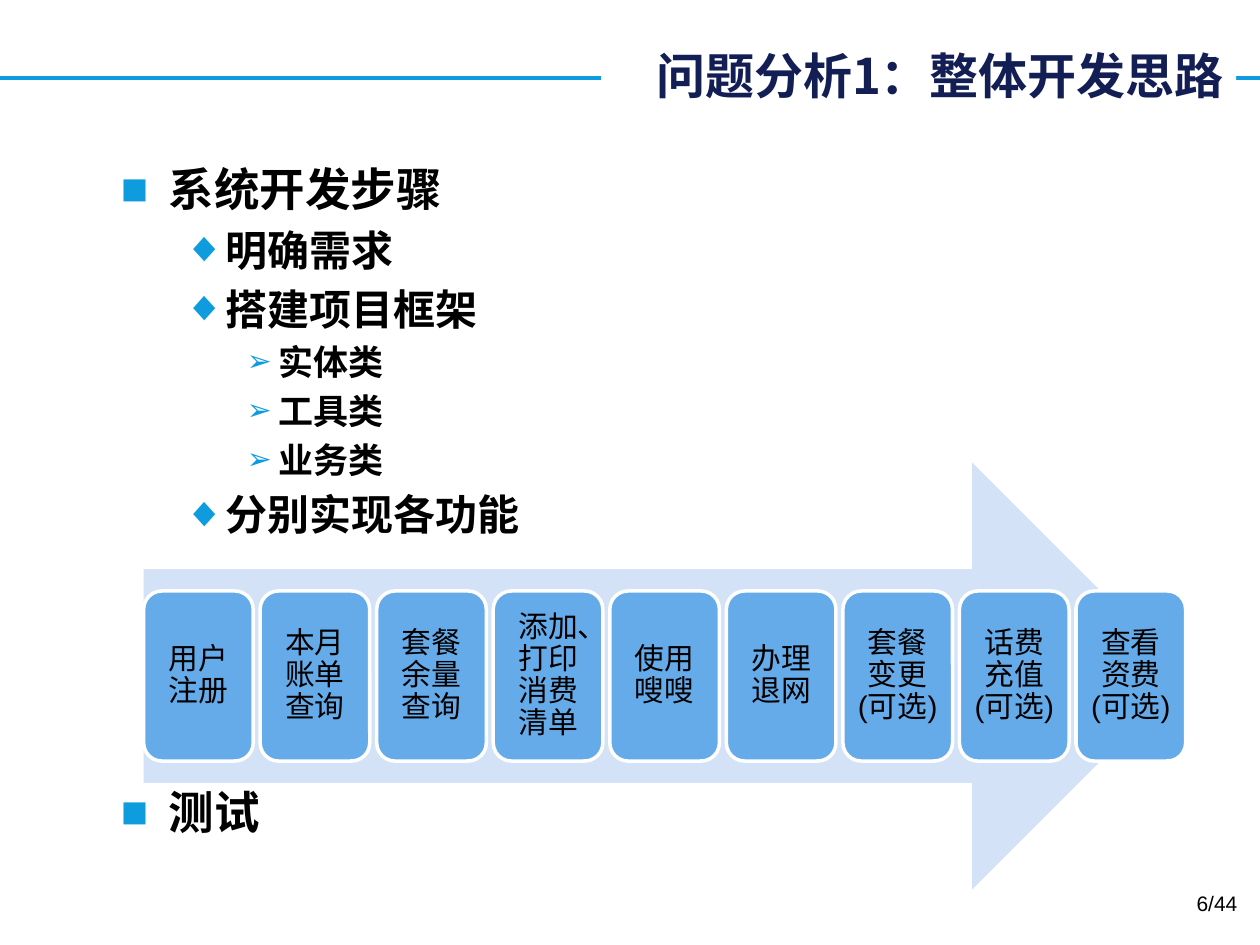
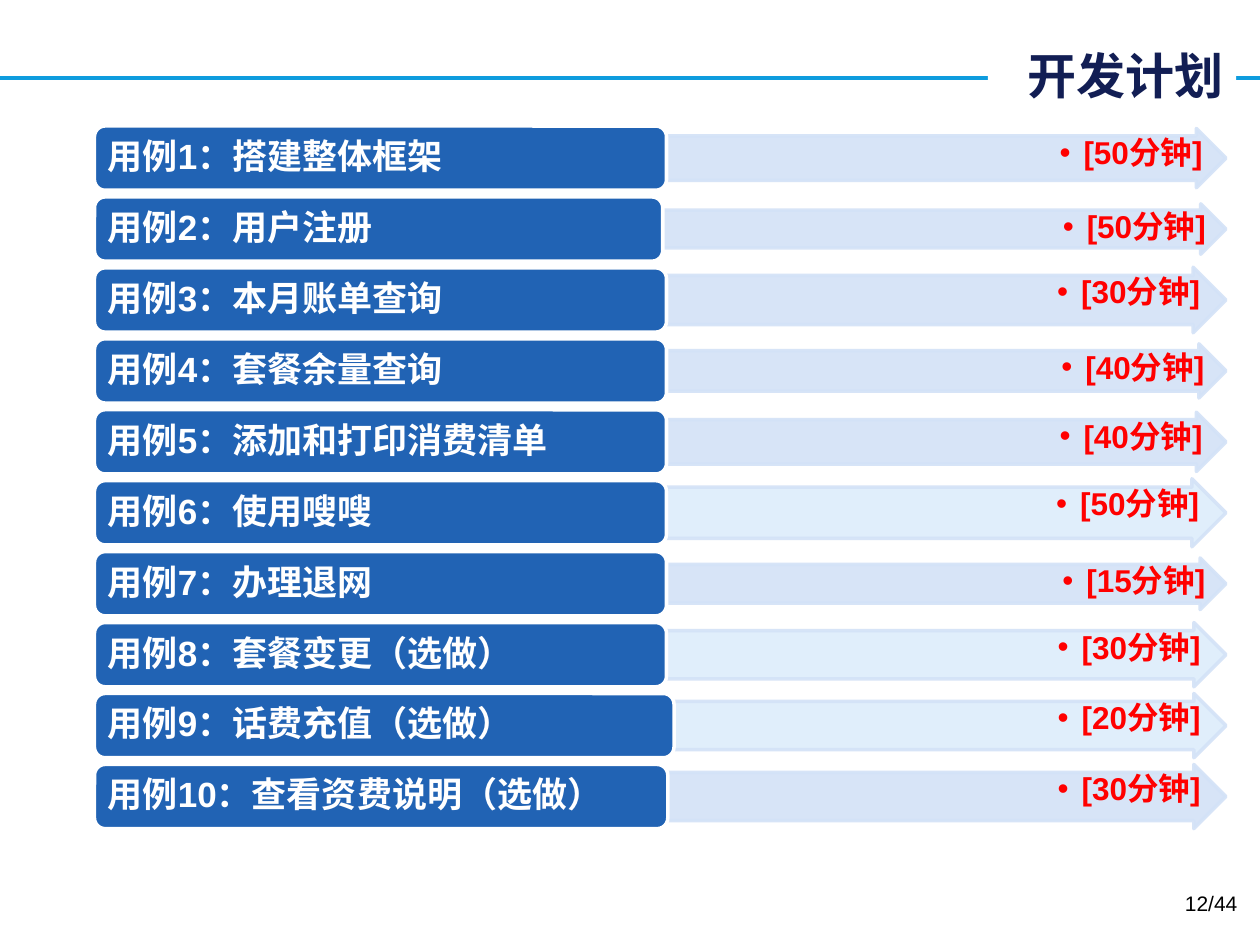
from dataclasses import dataclass

from lxml import etree
from pptx import Presentation
from pptx import util as u
from pptx.dml.color import RGBColor
from pptx.enum import lang, shapes, text
from pptx.oxml.ns import qn

OUTLINE = [
    (0, "系统开发步骤"),
    (1, "明确需求"),
    (1, "搭建项目框架"),
    (2, "实体类"),
    (2, "工具类"),
    (2, "业务类"),
    (1, "分别实现各功能"),
    (0, "测试"),
]
FEATURES = [
    "用户注册", "本月账单查询", "套餐余量查询", "添加、打印消费清单", "使用嗖嗖",
    "办理退网", "套餐变更(可选)", "话费充值(可选)", "查看资费(可选)",
]
# name, minutes, bar width, arrow height, arrow fill
CASES = [
    ("搭建整体框架", 50, 4.54, 0.47, "pale"),
    ("用户注册", 50, 4.51, 0.40, "pale"),
    ("本月账单查询", 30, 4.54, 0.52, "pale"),
    ("套餐余量查询", 40, 4.54, 0.43, "pale"),
    ("添加和打印消费清单", 40, 4.54, 0.47, "pale"),
    ("使用嗖嗖", 50, 4.54, 0.54, "paler"),
    ("办理退网", 15, 4.54, 0.41, "pale"),
    ("套餐变更（选做）", 30, 4.54, 0.51, "paler"),
    ("话费充值（选做）", 20, 4.60, 0.51, "paler"),
    ("查看资费说明（选做）", 30, 4.55, 0.51, "pale"),
]
PAGE_TOTAL = 44
WIDTH, HEIGHT = 10, 7.5
TITLE_RIGHT = 9.81
RULE_Y = 0.62
TEST_GAP = 140  # points left free above the last outline item for the arrow


@dataclass(frozen=True)
class Theme:
    font: str = "Arial"
    title_font: str = "Noto Sans CJK SC"
    accent: str = "0E9CDE"
    title: str = "121E54"
    ink: str = "000000"
    white: str = "FFFFFF"
    pale: str = "D3E2F7"
    paler: str = "E0EEFB"
    step: str = "65AAE9"
    bar: str = "2163B4"
    time: str = "FF0000"
    title_size: int = 28
    step_size: int = 17
    bar_size: int = 20
    time_size: int = 18
    page_size: int = 12


THEME = Theme()
# size, bullet, bullet size in percent, left margin, hanging indent
LEVELS = [
    (26, "■", 100, 0.38, 0.38),
    (24, "◆", 100, 0.81, 0.31),
    (20, "➢", 85, 1.25, 0.25),
]


def rgb(value):
    return RGBColor.from_string(value)


def box_at(*lengths):
    return [u.Inches(length) for length in lengths]


def place(shape, *lengths):
    for name, length in zip(("left", "top", "width", "height"), box_at(*lengths)):
        setattr(shape, name, length)


def set_frame(frame, inset=None, anchor=text.MSO_ANCHOR.TOP):
    values = {"word_wrap": True, "auto_size": text.MSO_AUTO_SIZE.NONE,
              "vertical_anchor": anchor}
    if inset:
        sides = ("margin_left", "margin_top", "margin_right", "margin_bottom")
        values.update(zip(sides, box_at(*inset)))
    for name, value in values.items():
        setattr(frame, name, value)


def write(para, words, size, color, bold=False, face=THEME.font, **layout):
    """Fill a paragraph with one formatted run; layout holds paragraph attributes."""
    for name, value in layout.items():
        setattr(para, name, value)
    span = para.add_run()
    span.text = words
    values = {"name": face, "size": u.Pt(size), "bold": bold,
              "language_id": lang.MSO_LANGUAGE_ID.SIMPLIFIED_CHINESE}
    for name, value in values.items():
        setattr(span.font, name, value)
    span.font.color.rgb = rgb(color)
    latin = span.font._element.find(qn("a:latin"))
    east_asian = etree.Element(qn("a:ea"), typeface=face)
    latin.addnext(east_asian)


def set_bullet(para, mark, margin, hang, color, percent=100):
    props = para._p.get_or_add_pPr()
    props.set("marL", str(u.Inches(margin)))
    props.set("indent", str(-u.Inches(hang)))
    bullet_color = etree.SubElement(props, qn("a:buClr"))
    etree.SubElement(bullet_color, qn("a:srgbClr"), val=color)
    etree.SubElement(props, qn("a:buSzPct"), val=str(percent * 1000))
    etree.SubElement(props, qn("a:buFont"), typeface=THEME.font)
    etree.SubElement(props, qn("a:buChar"), char=mark)


def set_alpha(fill_parent, percent):
    color = fill_parent.find(qn("a:solidFill")).find(qn("a:srgbClr"))
    etree.SubElement(color, qn("a:alpha"), val=str(percent * 1000))


def add_block(page, kind, place_in, fill, line=None):
    shape = page.shapes.add_shape(kind, *box_at(*place_in))
    shape.shadow.inherit = False
    shape.fill.solid()
    shape.fill.fore_color.rgb = rgb(fill)
    if line:
        shape.line.color.rgb = rgb(line)
        shape.line.width = u.Pt(2)
    else:
        shape.line.fill.background()
    return shape


def add_page(deck, layout, title, title_width, number):
    page = deck.slides.add_slide(deck.slide_layouts[layout])
    heading = page.shapes.title
    place(heading, TITLE_RIGHT - title_width, 0.31, title_width, 0.57)
    heading.fill.solid()
    heading.fill.fore_color.rgb = rgb(THEME.white)
    set_frame(heading.text_frame, anchor=text.MSO_ANCHOR.MIDDLE)
    write(heading.text_frame.paragraphs[0], title, THEME.title_size, THEME.title, True,
          THEME.title_font, alignment=text.PP_ALIGN.RIGHT)
    footer = page.shapes.add_textbox(*box_at(7.59, 7.02, 2.33, 0.4)).text_frame
    set_frame(footer)
    write(footer.paragraphs[0], f"{number}/{PAGE_TOTAL}", THEME.page_size, THEME.ink,
          alignment=text.PP_ALIGN.RIGHT)
    return page


def move_rule_to_master(deck, page):
    """Draw the title rule and keep it on the master, behind every slide."""
    rule = page.shapes.add_connector(
        shapes.MSO_CONNECTOR.STRAIGHT, *box_at(0, RULE_Y, WIDTH, RULE_Y))
    rule.line.color.rgb = rgb(THEME.accent)
    rule.line.width = u.Pt(2.25)
    etree.SubElement(rule._element.spPr, qn("a:effectLst"))
    deck.slide_master.shapes._spTree.append(rule._element)


def add_outline(page):
    body = page.placeholders[1]
    place(body, 0.86, 1.23, 8.36, 6.07)
    frame = body.text_frame
    set_frame(frame)
    for index, (level, words) in enumerate(OUTLINE):
        para = frame.add_paragraph() if index else frame.paragraphs[0]
        size, mark, percent, margin, hang = LEVELS[level]
        gap = TEST_GAP if index == len(OUTLINE) - 1 else size * 0.2
        write(para, words, size, THEME.ink, True, level=level, space_before=u.Pt(gap))
        set_bullet(para, mark, margin, hang, THEME.accent, percent)


def add_feature_arrow(page):
    left, top, width, height = 1.14, 3.67, 8.27, 3.39
    step_width, step_height = 0.87, 1.35
    add_block(page, shapes.MSO_SHAPE.RIGHT_ARROW, (left, top, width, height), THEME.pale)
    pitch = (width - step_width) / (len(FEATURES) - 1)
    step_top = top + (height - step_height) / 2
    for index, feature in enumerate(FEATURES):
        step = add_block(page, shapes.MSO_SHAPE.ROUNDED_RECTANGLE,
                         (left + index * pitch, step_top, step_width, step_height),
                         THEME.step, THEME.white)
        set_frame(step.text_frame, [0.07] * 4, text.MSO_ANCHOR.MIDDLE)
        write(step.text_frame.paragraphs[0], feature, THEME.step_size, THEME.ink,
              alignment=text.PP_ALIGN.CENTER, line_spacing=0.9)


def add_case_rows(page):
    left, top, right, bar_height, pitch = 0.75, 1, 9.73, 0.51, 0.563
    for index, (name, minutes, bar_width, arrow_height, fill) in enumerate(CASES):
        bar_top = top + index * pitch
        arrow_left = left + bar_width
        arrow_top = bar_top + (bar_height - arrow_height) / 2
        arrow = add_block(page, shapes.MSO_SHAPE.RIGHT_ARROW,
                          (arrow_left, arrow_top, right - arrow_left, arrow_height),
                          getattr(THEME, fill), THEME.pale)
        arrow.adjustments[0], arrow.adjustments[1] = 0.75, 0.5
        set_alpha(arrow.line._ln, 90)
        if fill == "pale":
            set_alpha(arrow._element.spPr, 90)
        set_frame(arrow.text_frame, [0.01] * 4)
        para = arrow.text_frame.paragraphs[0]
        write(para, f"[{minutes}分钟]", THEME.time_size, THEME.time, True,
              alignment=text.PP_ALIGN.RIGHT, line_spacing=0.9)
        set_bullet(para, "•", 0.19, 0.19, THEME.time)

        bar = add_block(page, shapes.MSO_SHAPE.ROUNDED_RECTANGLE,
                        (left, bar_top, bar_width, bar_height), THEME.bar, THEME.white)
        set_frame(bar.text_frame, (0.08, 0.04, 0.08, 0.04), text.MSO_ANCHOR.MIDDLE)
        write(bar.text_frame.paragraphs[0], f"用例{index + 1}：{name}", THEME.bar_size,
              THEME.white, True, alignment=text.PP_ALIGN.LEFT, line_spacing=0.9)


def main():
    deck = Presentation()
    deck.slide_width, deck.slide_height = box_at(WIDTH, HEIGHT)
    analysis = add_page(deck, 1, "问题分析1：整体开发思路", 5.04, 6)
    move_rule_to_master(deck, analysis)
    add_outline(analysis)
    add_feature_arrow(analysis)
    plan = add_page(deck, 5, "开发计划", 1.97, 12)
    add_case_rows(plan)
    deck.save("out.pptx")


if __name__ == "__main__":
    main()
